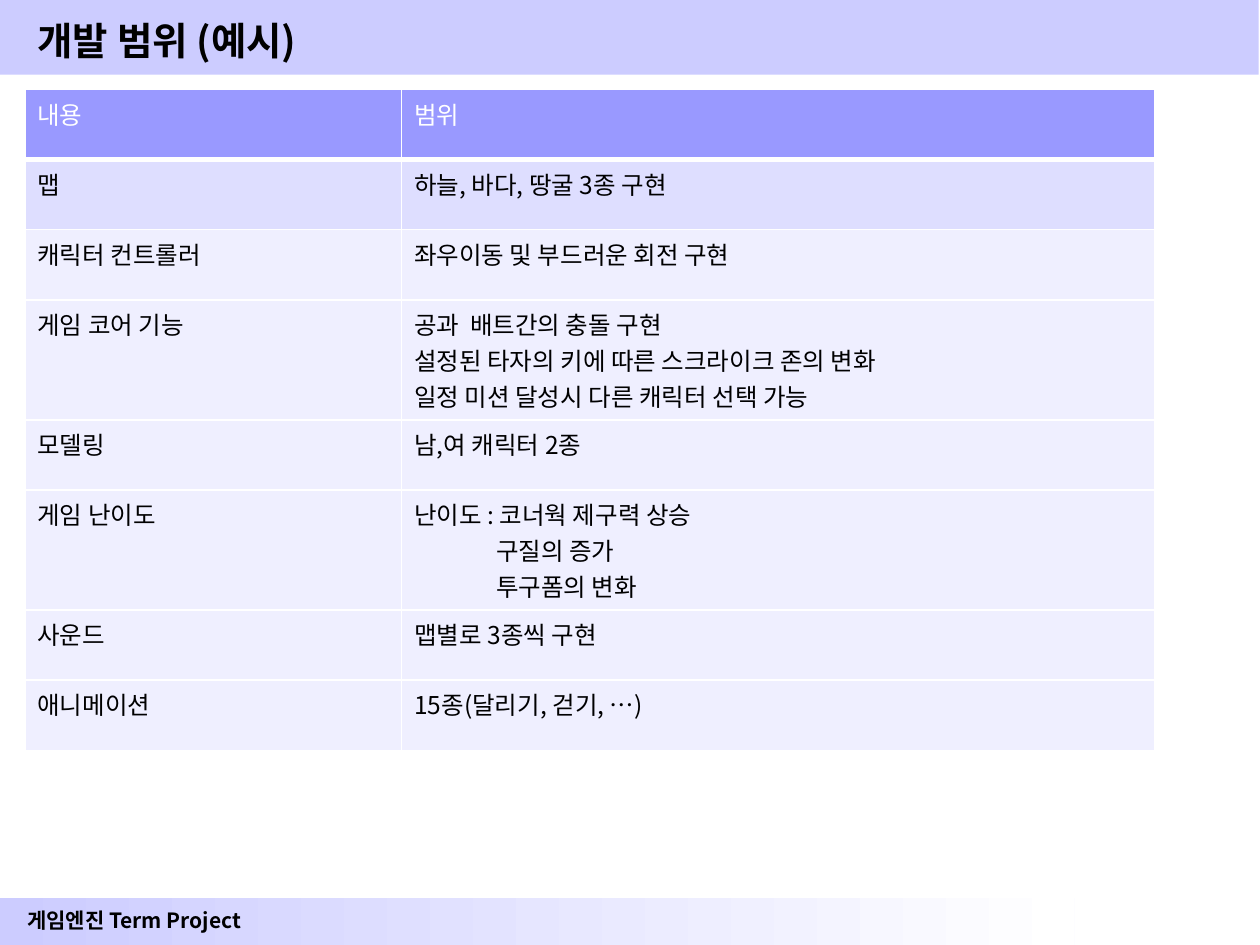
from dataclasses import dataclass
from typing import Any

from lxml.etree import SubElement as Sub
from pptx import Presentation
from pptx.dml.color import RGBColor as Rgb
from pptx.enum.shapes import MSO_SHAPE as Kind
from pptx.enum.text import MSO_ANCHOR as Anchor, PP_ALIGN as Align
from pptx.oxml.ns import qn
from pptx.util import Inches, Pt

WIDE, HIGH = Inches(10), Inches(7.5)
FONT = "Noto Sans CJK KR"
WHITE, BLACK, LILAC = "FFFFFF", "000000", "CCCCFF"
HEAD, FIRST, BODY = "9999FF", "DEDEFF", "EFEFFF"
COLS = (29.9, 59.8)
ROW, STEP, PAD = 7.43, 3.78, 1.35
HANG = Inches(0.38)
DEEP = Inches(0.65)


@dataclass(frozen=True)
class Box:
    x: float
    y: float
    w: float
    h: float

    def place(self) -> tuple[int, int, int, int]:
        return across(self.x), down(self.y), across(self.w), down(self.h)


@dataclass(frozen=True)
class Line:
    text: str
    deep: bool = False


@dataclass(frozen=True)
class Item:
    name: str
    lines: tuple[Line, ...]
    hang: bool = True

    def tall(self) -> float:
        return max(ROW, PAD + STEP * len(self.lines))


ITEMS = (
    Item("내용", (Line("범위"),), False),
    Item("맵", (Line("하늘, 바다, 땅굴 3종 구현"),), False),
    Item("캐릭터 컨트롤러", (Line("좌우이동 및 부드러운 회전 구현"),)),
    Item("게임 코어 기능", (
        Line("공과  배트간의 충돌 구현"),
        Line("설정된 타자의 키에 따른 스크라이크 존의 변화"),
        Line("일정 미션 달성시 다른 캐릭터 선택 가능"),
    )),
    Item("모델링", (Line("남,여 캐릭터 2종"),)),
    Item("게임 난이도", (
        Line("난이도 : 코너웍 제구력 상승"),
        Line("구질의 증가", True),
        Line("투구폼의 변화", True),
    )),
    Item("사운드", (Line("맵별로 3종씩 구현"),)),
    Item("애니메이션", (Line("15종(달리기, 걷기, …)"),)),
)


def across(share: float) -> int:
    return int(WIDE * share / 100)


def down(share: float) -> int:
    return int(HIGH * share / 100)


def color(code: str) -> Rgb:
    return Rgb.from_string(code)


def write(frame: Any, lines: tuple[Line, ...], *, size: float = 14,
          ink: str = BLACK, bold: bool = False, hang: bool = False,
          align: Any = Align.LEFT, anchor: Any = Anchor.TOP) -> None:
    frame.word_wrap = True
    frame.vertical_anchor = anchor
    for i, line in enumerate(lines):
        para = frame.paragraphs[0] if i == 0 else frame.add_paragraph()
        para.alignment = align
        if line.deep or hang:
            props = para._p.get_or_add_pPr()
            props.set("marL", str(DEEP if line.deep else HANG))
            props.set("indent", str(0 if line.deep else -HANG))
        run = para.add_run()
        run.text = line.text
        font = run.font
        font.name, font.size, font.bold = FONT, Pt(size), bold
        font.color.rgb = color(ink)
        Sub(run._r.get_or_add_rPr(), qn("a:ea"), typeface=FONT)


def band(slide: Any, box: Box, start: str, end: str) -> None:
    bar = slide.shapes.add_shape(Kind.RECTANGLE, *box.place())
    bar.shadow.inherit = False
    bar.line.fill.background()
    if start == end:
        bar.fill.solid()
        bar.fill.fore_color.rgb = color(start)
        return
    bar.fill.gradient()
    bar.fill.gradient_angle = 0
    for stop, code in zip(bar.fill.gradient_stops, (start, end)):
        stop.color.rgb = color(code)


def label(slide: Any, box: Box, text: str, **style: Any) -> None:
    frame = slide.shapes.add_textbox(*box.place()).text_frame
    write(frame, (Line(text),), bold=True, **style)


def edge(cell: Any, row: int) -> None:
    props = cell._tc.get_or_add_tcPr()
    top = 3 if row == 1 else 1
    base = 3 if row == 0 else 1
    for side, width in (("L", 1), ("R", 1), ("T", top), ("B", base)):
        line = Sub(props, qn(f"a:ln{side}"), w=str(Pt(width)))
        fill = Sub(line, qn("a:solidFill"))
        Sub(fill, qn("a:srgbClr"), val=WHITE)


def grid(slide: Any, x: float, y: float, items: tuple[Item, ...]) -> None:
    box = Box(x, y, sum(COLS), sum(item.tall() for item in items))
    table = slide.shapes.add_table(len(items), len(COLS), *box.place()).table
    table.horz_banding = False
    for col, share in zip(table.columns, COLS):
        col.width = across(share)
    for r, item in enumerate(items):
        table.rows[r].height = down(item.tall())
        shade = (HEAD, FIRST)[r] if r < 2 else BODY
        for c, lines in enumerate(((Line(item.name),), item.lines)):
            cell = table.cell(r, c)
            edge(cell, r)
            cell.fill.solid()
            cell.fill.fore_color.rgb = color(shade)
            write(cell.text_frame, lines, ink=BLACK if r else WHITE,
                  hang=item.hang and c == 1)


def main() -> None:
    deck = Presentation()
    deck.slide_width, deck.slide_height = WIDE, HIGH
    slide = deck.slides.add_slide(deck.slide_layouts[6])
    band(slide, Box(0, 95, 85.3, 5), LILAC, WHITE)
    band(slide, Box(0, 0, 99.9, 7.9), LILAC, LILAC)
    label(slide, Box(0.4, 95.4, 20.5, 4), "게임엔진 Term Project",
          size=12, align=Align.CENTER)
    label(slide, Box(2, 0.7, 96.9, 7), "개발 범위 (예시)",
          size=22, anchor=Anchor.MIDDLE)
    grid(slide, 1.97, 9.45, ITEMS)
    deck.save("out.pptx")


if __name__ == "__main__":
    main()
